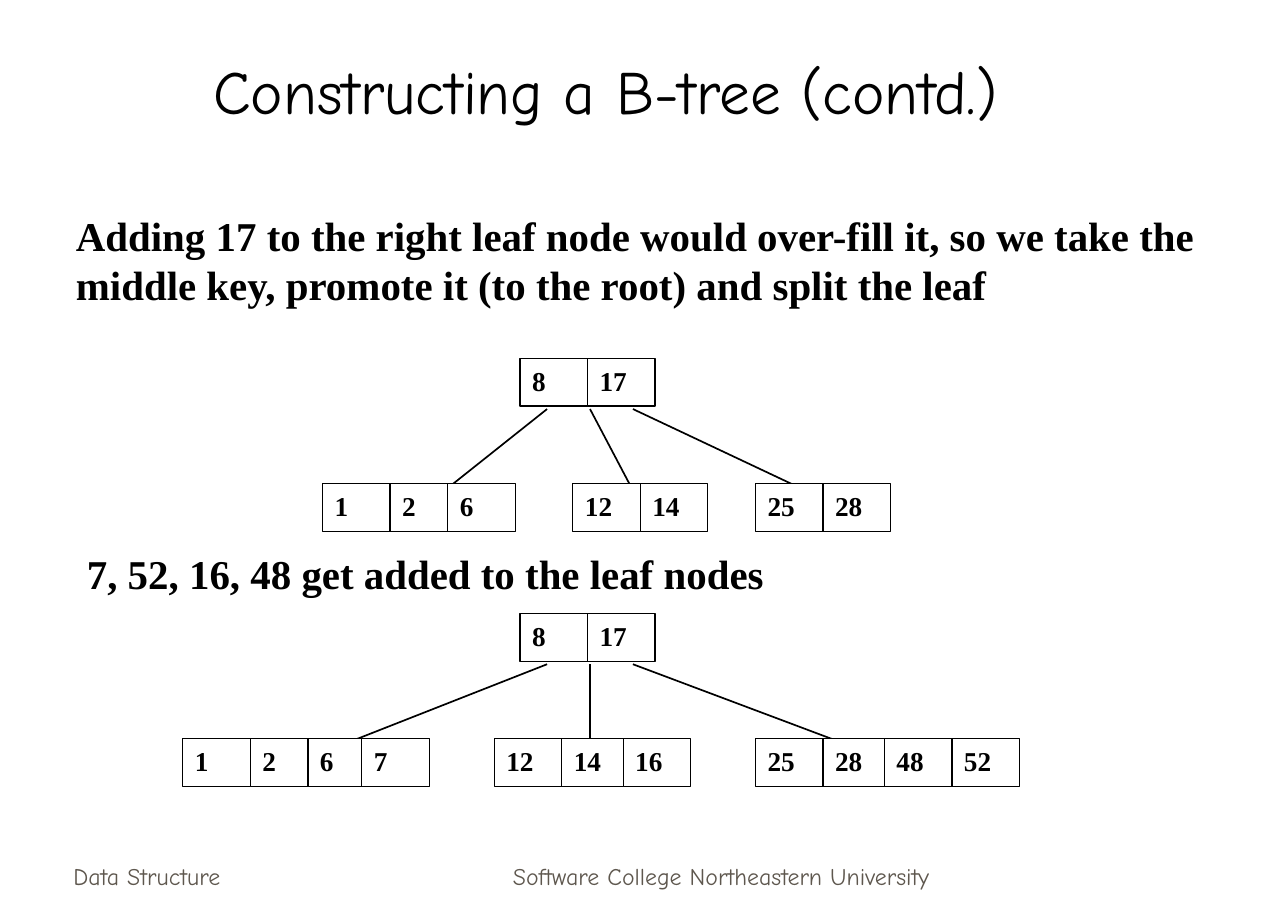
from dataclasses import dataclass
from itertools import accumulate

from lxml import etree
from pptx import Presentation
from pptx.dml.color import RGBColor
from pptx.enum.shapes import MSO_CONNECTOR, MSO_SHAPE
from pptx.enum.text import MSO_ANCHOR, MSO_AUTO_SIZE, PP_ALIGN
from pptx.oxml.ns import qn
from pptx.util import Inches, Pt

RECT, LINE = MSO_SHAPE.RECTANGLE, MSO_CONNECTOR.STRAIGHT
TOP, BOTTOM = MSO_ANCHOR.TOP, MSO_ANCHOR.BOTTOM
LEFT, CENTER = PP_ALIGN.LEFT, PP_ALIGN.CENTER
FIXED = MSO_AUTO_SIZE.NONE

COLORS = {"ink": "000000", "paper": "FFFFFF", "footer": "5E574E"}
HAND, SERIF = "Comic Neue", "Times New Roman"

# The slide is a grid of 105 columns by 75 rows.
CELL = Inches(0.1)
COLS, ROWS = 105, 75
KEY_W, KEY_H = 5.5, 3.9
LEAF_DROP, LINK_DROP = 10.2, 4.15
ROOT_COL, ROOT_KEYS = 42.4, ("8", "17")
LINK_COLS = (44.6, 48.1, 51.6)


@dataclass
class Style:
    font: str
    size: float
    color: str = "ink"
    bold: bool = False
    align: PP_ALIGN = LEFT
    anchor: MSO_ANCHOR = TOP


@dataclass
class Label:
    text: str
    box: tuple[float, float, float, float]
    style: Style


@dataclass
class Node:
    """Keys in a row; steps are the distances from one key to the next."""
    col: float
    keys: tuple[str, ...]
    steps: tuple[float, ...] = (KEY_W,)


@dataclass
class Leaf(Node):
    """A node with the end of its link: column, and rows below the root."""
    tip: tuple[float, float] = (0, 0)


@dataclass
class Tree:
    top: float
    leaves: tuple[Leaf, ...]


TITLE = Style(HAND, 36, align=CENTER, anchor=BOTTOM)
BODY = Style(SERIF, 24, bold=True)
KEY = Style(SERIF, 16, bold=True)
FOOT = Style(HAND, 14, "footer", anchor=BOTTOM)
FOOT_MID = Style(HAND, 14, "footer", align=CENTER, anchor=BOTTOM)

HEAD = Label("Constructing a B-tree (contd.)", (4.7, 2.5, 89.3, 8.3), TITLE)
LABELS = (
    Label("Adding 17 to the right leaf node would over-fill it, so we take the "
          "middle key, promote it (to the root) and split the leaf",
          (5.2, 16.7, 96.2, 9), BODY),
    Label("7, 52, 16, 48 get added to the leaf nodes", (6.1, 44.2, 94.5, 5), BODY),
    Label("Data Structure", (5, 68.1, 21.9, 5), FOOT),
    Label("Software College Northeastern University",
          (35.9, 68.1, 45.8, 5), FOOT_MID),
)
TREES = (
    Tree(29.2, (
        Leaf(26.3, ("1", "2", "6"), (5.5, 4.7), (34.1, 12.5)),
        Leaf(46.7, ("12", "14"), tip=(52.5, 12.5)),
        Leaf(61.6, ("25", "28"), tip=(67.4, 11.6)),
    )),
    Tree(50, (
        Leaf(14.9, ("1", "2", "6", "7"), (5.5, 4.7, 4.4), (25.4, 11.7)),
        Leaf(40.3, ("12", "14", "16"), (5.5, 5), (48.1, 12.5)),
        Leaf(61.6, ("25", "28", "48", "52"), (5.5, 5, 5.5), (71.7, 11.7)),
    )),
)


def grid(*units: float) -> list[int]:
    return [round(unit * CELL) for unit in units]


def tint(name: str) -> RGBColor:
    return RGBColor.from_string(COLORS[name])


def apply(item, values: dict) -> None:
    for name, value in values.items():
        setattr(item, name, value)


def write(shape, text: str, style: Style) -> None:
    frame = shape.text_frame
    apply(frame, {"text": text, "word_wrap": True, "auto_size": FIXED,
                  "vertical_anchor": style.anchor})
    line = frame.paragraphs[0]
    line.alignment = style.align
    font = line.runs[0].font
    apply(font, {"name": style.font, "size": Pt(style.size), "bold": style.bold})
    font.color.rgb = tint(style.color)


def place(shape, label: Label) -> None:
    names = ("left", "top", "width", "height")
    apply(shape, dict(zip(names, grid(*label.box))))
    write(shape, label.text, label.style)


def link(shapes, start: tuple[float, float], end: tuple[float, float]) -> None:
    wire = shapes.add_connector(LINE, *grid(*start, *end))
    wire.line.color.rgb = tint("ink")
    wire.line.width = Pt(1)
    etree.SubElement(wire._element.spPr, qn("a:effectLst"))


def draw_node(shapes, node: Node, row: float) -> None:
    cols = accumulate(node.steps, initial=node.col)
    for col, key in zip(cols, node.keys):
        box = shapes.add_shape(RECT, *grid(col, row, KEY_W, KEY_H))
        box.shadow.inherit = False
        box.fill.solid()
        box.fill.fore_color.rgb = tint("paper")
        box.line.color.rgb = tint("ink")
        box.line.width = Pt(0.75)
        write(box, key, KEY)


def draw_tree(shapes, tree: Tree) -> None:
    for col, leaf in zip(LINK_COLS, tree.leaves):
        tip, drop = leaf.tip
        link(shapes, (col, tree.top + LINK_DROP), (tip, tree.top + drop))
    draw_node(shapes, Node(ROOT_COL, ROOT_KEYS), tree.top)
    for leaf in tree.leaves:
        draw_node(shapes, leaf, tree.top + LEAF_DROP)


def main() -> None:
    deck = Presentation()
    deck.slide_width, deck.slide_height = grid(COLS, ROWS)
    shapes = deck.slides.add_slide(deck.slide_layouts[5]).shapes
    place(shapes.title, HEAD)
    for label in LABELS:
        place(shapes.add_textbox(*grid(*label.box)), label)
    for tree in TREES:
        draw_tree(shapes, tree)
    deck.save("out.pptx")


if __name__ == "__main__":
    main()
